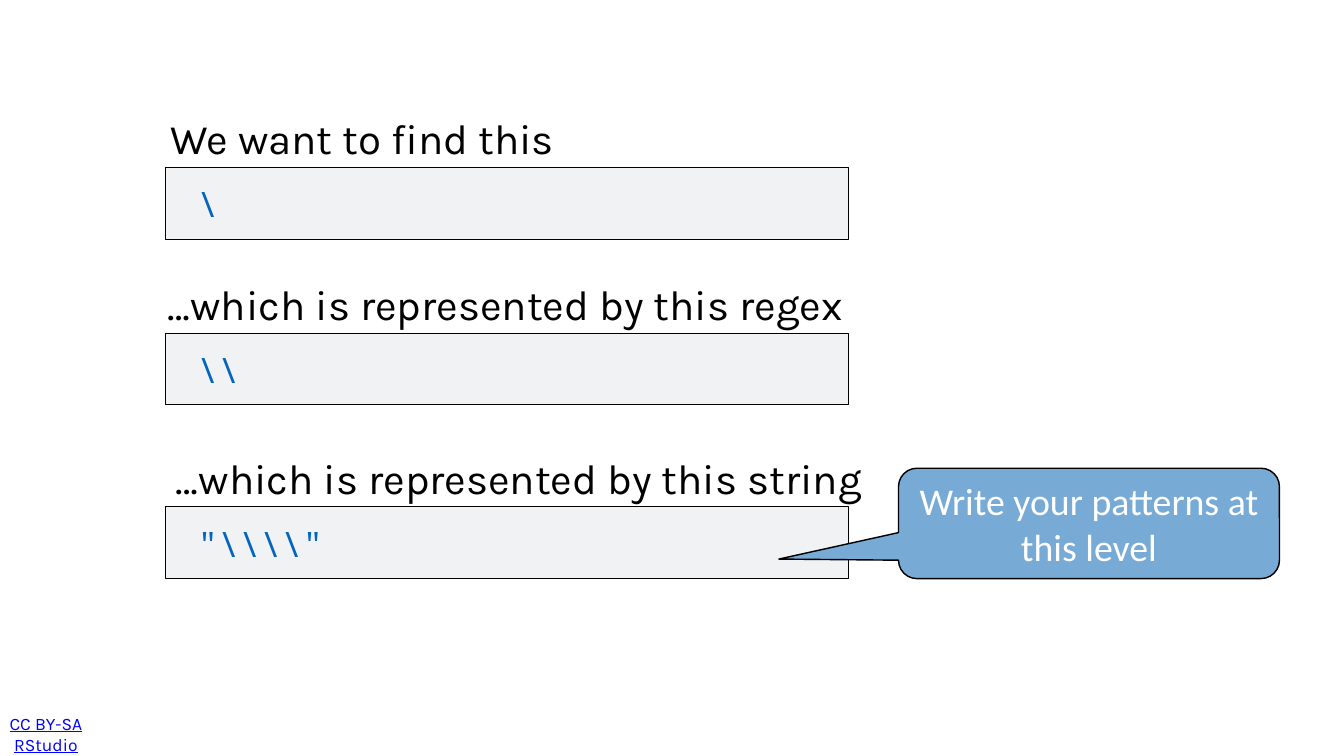
from pptx import Presentation
from pptx.dml.color import RGBColor
from pptx.enum import shapes, text
from pptx.util import Inches, Pt

# caption, caption left, code, panel top
LEVELS = [
    ("We want to find this", 3.32, "\\", 3.32),
    ("…which is represented by this regex", 3.27, "\\\\", 6.61),
    ("…which is represented by this string", 3.43, '"\\\\\\\\"', 10.05),
]
PANEL_LEFT, PANEL_WIDTH, PANEL_HEIGHT = 3.28, 13.56, 1.42
CAPTION_HEIGHT = 1.16


def rgb(value):
    return RGBColor.from_string(value)


def set_frame(frame, insets, anchor=text.MSO_ANCHOR.MIDDLE):
    """Set wrapping, anchor and the left, top, right and bottom insets."""
    frame.word_wrap = True
    frame.vertical_anchor = anchor
    sides = ("left", "top", "right", "bottom")
    for side, inset in zip(sides, insets):
        setattr(frame, f"margin_{side}", Inches(inset))


def add_run(paragraph, words, font, size, color, underline=None):
    run = paragraph.add_run()
    run.text = words
    run.font.name = font
    run.font.size = Pt(size)
    run.font.color.rgb = rgb(color)
    run.font.underline = underline


def add_text(slide, box, insets, anchor=text.MSO_ANCHOR.MIDDLE):
    """Add an empty text box and return its first paragraph."""
    frame = slide.shapes.add_textbox(*map(Inches, box)).text_frame
    set_frame(frame, insets, anchor)
    return frame.paragraphs[0]


def add_filled(slide, kind, box, fill, line_width):
    shape = slide.shapes.add_shape(kind, *map(Inches, box))
    shape.shadow.inherit = False
    shape.fill.solid()
    shape.fill.fore_color.rgb = rgb(fill)
    shape.line.color.rgb = rgb("000000")
    shape.line.width = Pt(line_width)
    return shape


def add_level(slide, caption, caption_left, code, top):
    """Add a code panel with its caption above it."""
    insets = [0.06] * 4
    add_filled(slide, shapes.MSO_SHAPE.RECTANGLE,
               (PANEL_LEFT, top, PANEL_WIDTH, PANEL_HEIGHT), "F0F2F4", 1)
    code_line = add_text(slide, (PANEL_LEFT + 0.16, top + 0.25, 13.24, 1.05),
                         insets, text.MSO_ANCHOR.TOP)
    add_run(code_line, " ", "Noto Sans Mono", 50, "53585F")
    add_run(code_line, code, "Noto Sans Mono", 50, "0365C0")
    heading = add_text(slide, (caption_left, top - CAPTION_HEIGHT, 19.4, CAPTION_HEIGHT),
                       insets)
    add_run(heading, caption, "Karla", 60, "000000")


def add_callout(slide):
    callout = add_filled(slide, shapes.MSO_SHAPE.ROUNDED_RECTANGULAR_CALLOUT,
                         (17.83, 9.29, 7.56, 2.19), "78AAD6", 2)
    for index, value in enumerate((-0.814, 0.323, 0.167)):
        callout.adjustments[index] = value
    set_frame(callout.text_frame, [0.08] * 4)
    advice = callout.text_frame.paragraphs[0]
    advice.alignment = text.PP_ALIGN.CENTER
    add_run(advice, "Write your patterns at this level", "Calibri", 54, "FFFFFF")


def add_license(slide):
    credit = add_text(slide, (0.12, 14.26, 2.66, 0.6), (0.03, 0.08, 1.11, 0.08))
    credit.alignment = text.PP_ALIGN.CENTER
    add_run(credit, "CC BY-SA RStudio", "Karla", 25, "0000FF", underline=True)


def main():
    deck = Presentation()
    deck.slide_width, deck.slide_height = Inches(26.67), Inches(15)
    slide = deck.slides.add_slide(deck.slide_layouts[6])
    add_license(slide)
    for level in LEVELS:
        add_level(slide, *level)
    add_callout(slide)
    deck.save("out.pptx")


if __name__ == "__main__":
    main()
